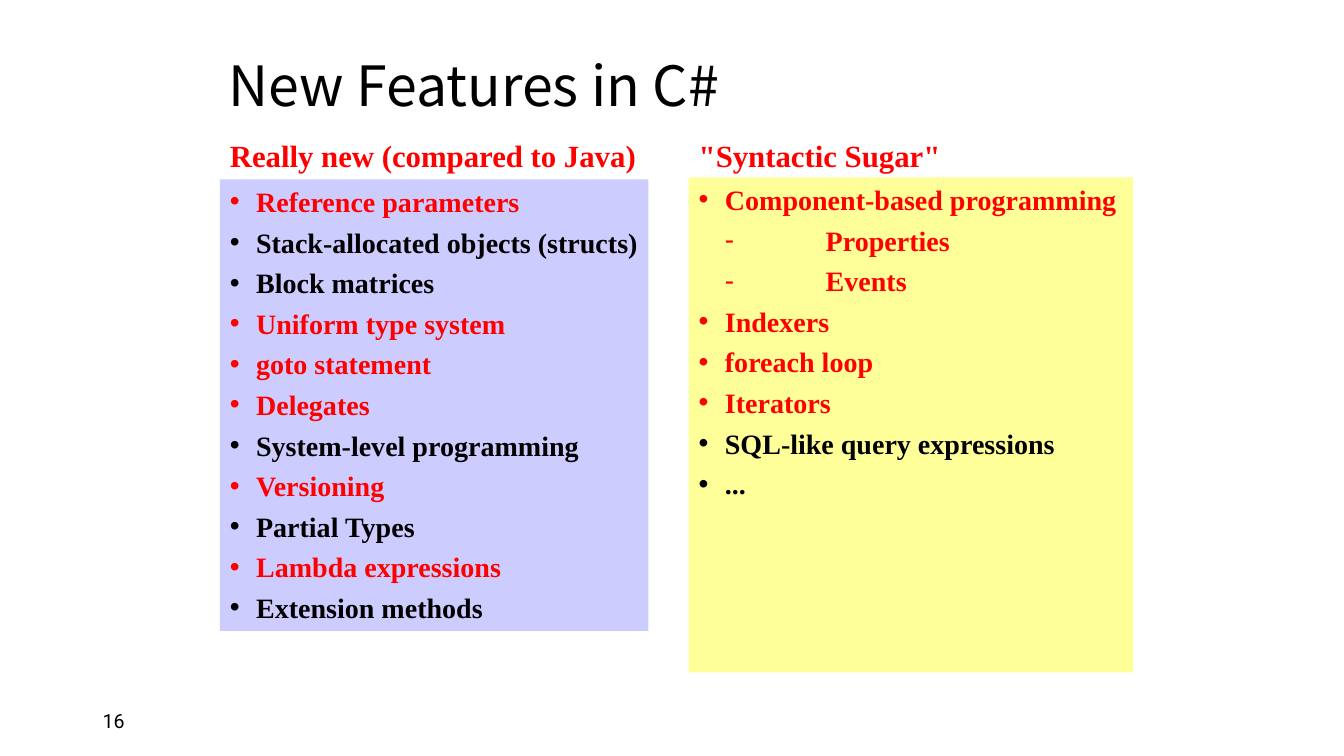
from lxml import etree
from pptx import Presentation
from pptx.dml.color import RGBColor
from pptx.enum.text import MSO_ANCHOR, MSO_AUTO_SIZE, PP_ALIGN
from pptx.oxml.ns import qn
from pptx.util import Inches, Pt

TOP, MIDDLE = MSO_ANCHOR.TOP, MSO_ANCHOR.MIDDLE
LEFT, FIXED = PP_ALIGN.LEFT, MSO_AUTO_SIZE.NONE
BLACK = RGBColor(0x00, 0x00, 0x00)
RED = RGBColor(0xFF, 0x00, 0x00)
LILAC = RGBColor(0xCC, 0xCC, 0xFF)
YELLOW = RGBColor(0xFF, 0xFF, 0x99)
SERIF, SANS, ROBOTO = "Times New Roman", "Noto Sans CJK SC", "Roboto"

# Bullet and its text position for each list level, in inches
STEPS = [("•", 0, 0.26), ("-", 0.26, 1.26)]

# List items: text, colour, level
NEW = [
    ("Reference parameters", RED, 0),
    ("Stack-allocated objects (structs)", BLACK, 0),
    ("Block matrices", BLACK, 0),
    ("Uniform type system", RED, 0),
    ("goto statement", RED, 0),
    ("Delegates", RED, 0),
    ("System-level programming", BLACK, 0),
    ("Versioning", RED, 0),
    ("Partial Types", BLACK, 0),
    ("Lambda expressions", RED, 0),
    ("Extension methods", BLACK, 0),
]
SUGAR = [
    ("Component-based programming", RED, 0),
    ("Properties", RED, 1),
    ("Events", RED, 1),
    ("Indexers", RED, 0),
    ("foreach loop", RED, 0),
    ("Iterators", RED, 0),
    ("SQL-like query expressions", BLACK, 0),
    ("...", BLACK, 0),
]


def place(shape, box, anchor=TOP, right=0.1):
    """Move a shape to its box and set up its text frame."""
    shape.left, shape.top, shape.width, shape.height = map(Inches, box)
    frame = shape.text_frame
    frame.word_wrap, frame.auto_size = True, FIXED
    frame.vertical_anchor = anchor
    frame.margin_left, frame.margin_right = Inches(0.1), Inches(right)
    frame.margin_top = frame.margin_bottom = Inches(0.05)
    return frame


def write(para, text, size=20, font=SERIF, color=BLACK, bold=False,
          before=0, line=1.0, level=None):
    """Fill one paragraph; a level gives it a bullet."""
    para.alignment = LEFT
    para.space_before, para.line_spacing = Pt(before), line
    if level is not None:
        mark, start, body = STEPS[level]
        para.level = level
        props = para._p.get_or_add_pPr()
        props.set("marL", str(Inches(body)))
        props.set("indent", str(Inches(start - body)))
        etree.SubElement(props, qn("a:buChar")).set("char", mark)
    run = para.add_run()
    run.text = text
    run.font.size, run.font.name = Pt(size), font
    run.font.bold, run.font.color.rgb = bold, color


def column(head, body, title, items, box, fill, strip, span, right=0.1):
    """Heading strip of the given height and width above a filled list."""
    left, top, width, height = box
    frame = place(head, (left, top, span, strip))
    write(frame.paragraphs[0], title, size=22, color=RED, bold=True)

    frame = place(body, (left, top + strip, width, height - strip), right=right)
    body.fill.solid()
    body.fill.fore_color.rgb = fill
    for i, (text, color, level) in enumerate(items):
        para = frame.add_paragraph() if i else frame.paragraphs[0]
        write(para, text, color=color, bold=True, level=level,
              before=5 if i else 0)


def main():
    deck = Presentation()
    deck.slide_width, deck.slide_height = Inches(13.33), Inches(7.5)
    slide = deck.slides.add_slide(deck.slide_layouts.get_by_name("Comparison"))
    title, head1, body1, head2, body2 = slide.placeholders

    # Title
    frame = place(title, (2.17, 0.5, 7.75, 0.75), MIDDLE)
    write(frame.paragraphs[0], "New Features in C#", size=39.6, font=SANS,
          line=0.9)

    # Two columns
    column(head1, body1, "Really new (compared to Java)", NEW,
           (2.18, 1.31, 4.25, 4.95), LILAC, strip=0.47, span=4.65)
    column(head2, body2, '"Syntactic Sugar"', SUGAR,
           (6.83, 1.31, 4.41, 5.36), YELLOW, strip=0.45, span=3.31, right=0)

    # Page number
    page = slide.shapes.add_textbox(0, 0, 0, 0)
    frame = place(page, (0.92, 6.95, 3, 0.4), MIDDLE)
    write(frame.paragraphs[0], "16", size=14, font=ROBOTO)

    deck.save("out.pptx")


if __name__ == "__main__":
    main()
